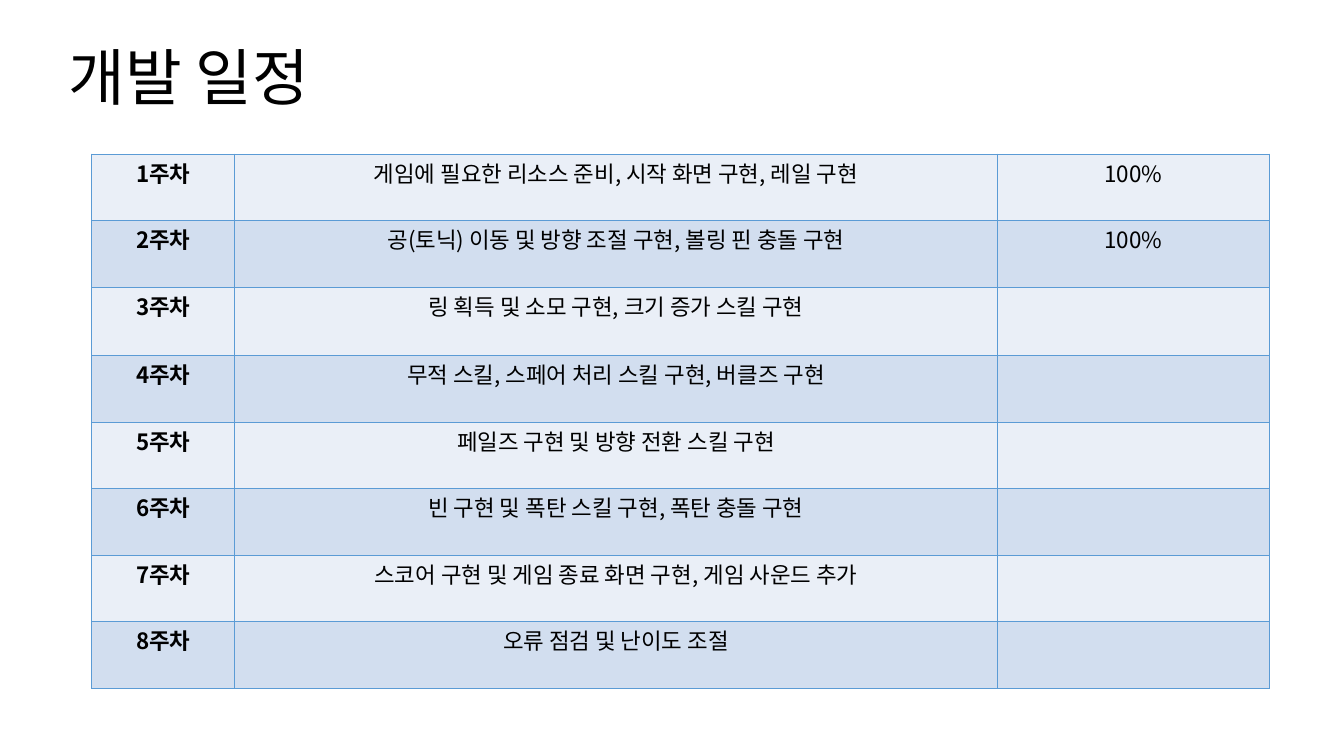
from lxml.etree import SubElement
from pptx import Presentation
from pptx.dml.color import RGBColor
from pptx.enum.text import MSO_ANCHOR as Anchor, PP_ALIGN as Align
from pptx.oxml import parse_xml
from pptx.oxml.ns import nsdecls, qn
from pptx.util import Inches, Pt

TITLE = "개발 일정"
SCHEDULE = [
    ("게임에 필요한 리소스 준비, 시작 화면 구현, 레일 구현", "100%"),
    ("공(토닉) 이동 및 방향 조절 구현, 볼링 핀 충돌 구현", "100%"),
    ("링 획득 및 소모 구현, 크기 증가 스킬 구현", ""),
    ("무적 스킬, 스페어 처리 스킬 구현, 버클즈 구현", ""),
    ("페일즈 구현 및 방향 전환 스킬 구현", ""),
    ("빈 구현 및 폭탄 스킬 구현, 폭탄 충돌 구현", ""),
    ("스코어 구현 및 게임 종료 화면 구현, 게임 사운드 추가", ""),
    ("오류 점검 및 난이도 조절", ""),
]
COLORS = {"text": "000000", "odd": "EAEFF7", "even": "D2DEEF", "border": "5B9BD5"}
FONT = "Noto Sans CJK KR"
COLUMN_WIDTHS = (1.42, 7.56, 2.7)
ROW_HEIGHT, TALL_ROW_HEIGHT, TALL_WEEK = 0.66, 0.68, 3


def write(frame, text, size=16, bold=False, align=Align.CENTER, spacing=1.07, after=8):
    paragraph = frame.paragraphs[0]
    paragraph.alignment = align
    paragraph.line_spacing = spacing
    paragraph.space_after = Pt(after)
    run = paragraph.add_run()
    run.text = text
    run.font.size = Pt(size)
    run.font.bold = bold
    run.font.name = FONT
    run.font.color.rgb = RGBColor.from_string(COLORS["text"])
    SubElement(run.font._element, qn("a:ea"), typeface=FONT)


def outline(cell):
    properties = cell._tc.get_or_add_tcPr()
    for position, side in enumerate(("lnL", "lnR", "lnT", "lnB")):
        properties.insert(position, parse_xml(
            f'<a:{side} {nsdecls("a")} w="{Pt(1)}"><a:solidFill>'
            f'<a:srgbClr val="{COLORS["border"]}"/></a:solidFill></a:{side}>'))


deck = Presentation()
deck.slide_width, deck.slide_height = Inches(13.33), Inches(7.5)
slide = deck.slides.add_slide(deck.slide_layouts[6])

title = slide.shapes.add_textbox(Inches(0.58), Inches(0.31), Inches(3.07), Inches(0.98)).text_frame
title.word_wrap = True
title.vertical_anchor = Anchor.MIDDLE
write(title, TITLE, size=44, align=Align.LEFT, spacing=0.9, after=0)

schedule = slide.shapes.add_table(
    len(SCHEDULE), len(COLUMN_WIDTHS), Inches(0.91), Inches(1.53),
    Inches(sum(COLUMN_WIDTHS)), Inches(5.3)).table
schedule.first_row = schedule.horz_banding = False
for column, width in zip(schedule.columns, COLUMN_WIDTHS):
    column.width = Inches(width)

for week, (tasks, progress) in enumerate(SCHEDULE, 1):
    row = schedule.rows[week - 1]
    row.height = Inches(TALL_ROW_HEIGHT if week == TALL_WEEK else ROW_HEIGHT)
    band = COLORS["odd" if week % 2 else "even"]
    for index, (cell, text) in enumerate(zip(row.cells, (f"{week}주차", tasks, progress))):
        cell.fill.solid()
        cell.fill.fore_color.rgb = RGBColor.from_string(band)
        outline(cell)
        cell.margin_left = cell.margin_right = Inches(0.06)
        cell.margin_top = cell.margin_bottom = 0
        if text:
            write(cell.text_frame, text, bold=index == 0)

deck.save("out.pptx")
